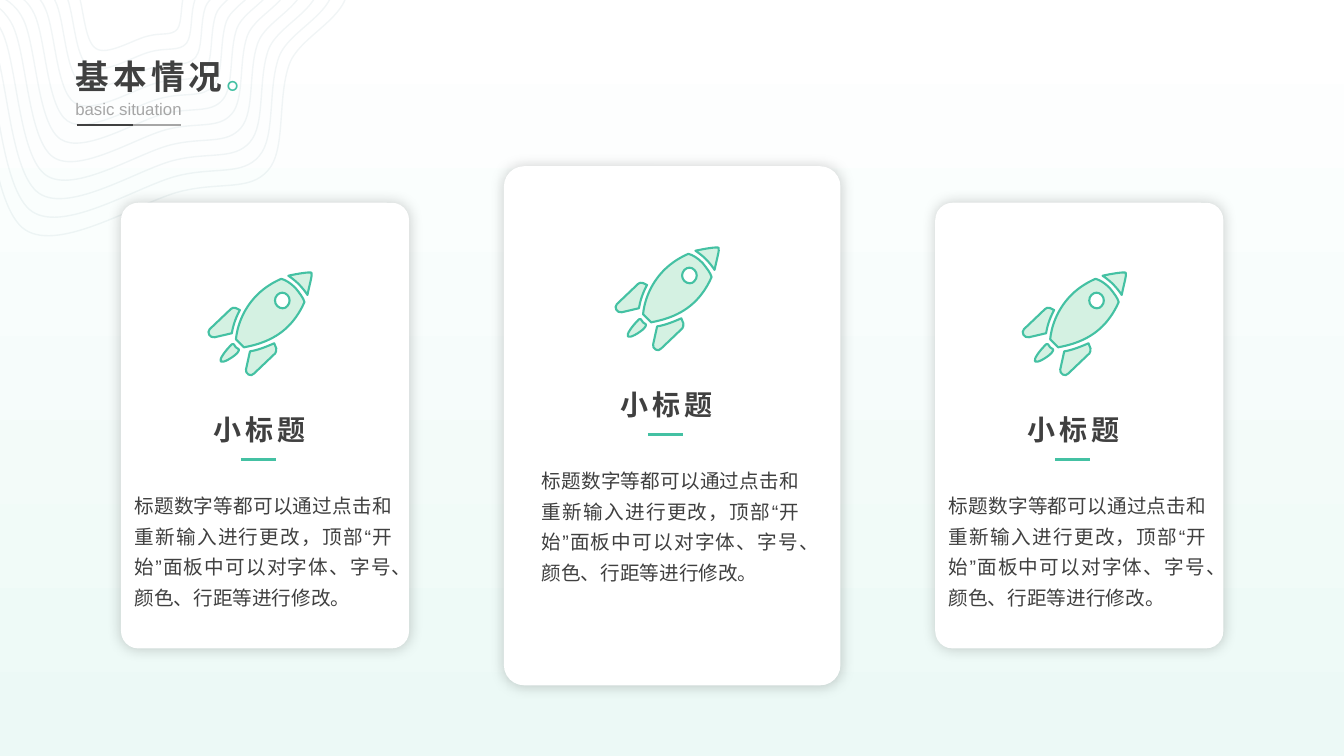
from lxml.etree import SubElement
from pptx import Presentation
from pptx.dml.color import RGBColor
from pptx.enum.lang import MSO_LANGUAGE_ID
from pptx.enum.shapes import MSO_CONNECTOR, MSO_SHAPE
from pptx.enum.text import MSO_ANCHOR, MSO_AUTO_SIZE, PP_ALIGN
from pptx.oxml.ns import qn
from pptx.util import Cm, Pt

WHITE = RGBColor(0xFF, 0xFF, 0xFF)
MIST = RGBColor(0xEC, 0xF9, 0xF6)
MINT = RGBColor(0xD4, 0xF1, 0xE2)
GREEN = RGBColor(0x44, 0xC1, 0xA3)
TEAL = RGBColor(0x1E, 0x5E, 0x70)
DARK = RGBColor(0x40, 0x40, 0x40)
GREY = RGBColor(0xA6, 0xA6, 0xA6)

LATIN_FONT = "Arial"
TITLE_FONT = "Noto Sans CJK SC"
CARD_TITLE = "小标题"
CARD_BODY = ("标题数字等都可以通过点击和重新输入进行更改，顶部“开始”面板中"
             "可以对字体、字号、颜色、行距等进行修改。")

# Left, top, width and height of each card in centimetres
CARDS = [(3.05, 5.11, 7.26, 11.23), (12.7, 4.19, 8.48, 13.08), (23.57, 5.11, 7.26, 11.23)]

# Outlines: a start point, then lines (x, y) or cubic curves (three points), in UNITs
UNIT = Cm(0.0254)
CONTOUR_COUNT = 11
OUTER_CONTOUR = [
    (179, 190), (139, 200, 60, 251, 25, 228), (-9, 205, -11, 91, -29, 51),
    (-48, 11, -82, 20, -85, -14), (-89, -48, -84, -120, -50, -153),
    (-17, -187, 51, -236, 115, -216), (180, -196, 310, -82, 338, -35),
    (367, 12, 299, 30, 287, 64), (275, 98, 284, 149, 266, 169),
    (248, 190, 219, 180, 179, 190)]
INNER_CONTOUR = [
    (146, 36), (133, 39, 106, 56, 95, 48), (83, 40, 83, 2, 76, -11),
    (70, -25, 59, -22, 57, -33), (56, -44, 58, -68, 69, -80),
    (81, -91, 103, -107, 125, -101), (147, -94, 190, -56, 200, -40),
    (209, -24, 187, -18, 183, -7), (179, 5, 181, 22, 176, 29),
    (170, 36, 160, 32, 146, 36)]

NOSE = [(102, 0), (100, -1, 88, 1, 79, 3), (82, 5, 86, 8, 89, 11),
        (93, 15, 96, 19, 98, 22), (100, 12, 103, 2, 102, 0)]
LEFT_FIN = [(31, 37), (27, 35), (25, 34, 23, 35, 22, 36), (1, 56),
            (-2, 59, 1, 65, 6, 64), (23, 60), (24, 54, 26, 46, 31, 37)]
RIGHT_FIN = [(65, 70), (56, 74, 48, 77, 41, 78), (37, 96), (36, 100, 42, 104, 45, 100),
             (66, 80), (67, 79, 67, 77, 67, 75), (65, 70)]
HULL = [(72, 6), (65, 9, 56, 14, 48, 22), (33, 37, 28, 55, 27, 66), (35, 74),
        (45, 72, 64, 68, 79, 53), (87, 45, 92, 36, 95, 29),
        (94, 25, 90, 20, 86, 15), (81, 10, 76, 7, 72, 6)]
WINDOW = [(78, 33), (76, 36, 71, 36, 68, 33), (65, 30, 65, 25, 68, 22),
          (71, 19, 75, 19, 78, 22), (81, 25, 81, 30, 78, 33)]
FLAME = [(27, 74), (25, 72, 25, 68, 21, 73), (17, 77, 10, 86, 12, 88),
         (14, 90, 24, 84, 28, 80), (32, 75, 29, 76, 27, 74)]
ROCKET = [[NOSE], [LEFT_FIN], [RIGHT_FIN], [HULL, WINDOW], [FLAME]]


def slide_points(outline, left, top):
    return [(left + x * UNIT, top + y * UNIT)
            for segment in outline for x, y in zip(segment[::2], segment[1::2])]


def bend_lines(shape, outlines):
    """Merge the three straight lines that stand for each curve into one curve."""
    lines = iter(list(shape._element.spPr.iter(qn("a:lnTo"))))
    for outline in outlines:
        for segment in outline[1:]:
            parts = [next(lines) for _ in range(len(segment) // 2)]
            if len(parts) == 3:
                first = parts[0]
                curve = SubElement(first.getparent(), qn("a:cubicBezTo"))
                first.addprevious(curve)
                for part in parts:
                    curve.append(part[0])
                    part.getparent().remove(part)


def add_outline(page, outlines, left, top, color, width):
    first, *others = [slide_points(outline, left, top) for outline in outlines]
    builder = page.shapes.build_freeform(*first[0])
    builder.add_line_segments(first[1:])
    for points in others:
        builder.move_to(*points[0])
        builder.add_line_segments(points[1:])
    shape = builder.convert_to_shape()
    bend_lines(shape, outlines)
    shape.shadow.inherit = False
    shape.line.color.rgb = color
    shape.line.width = Pt(width)
    return shape


def add_rule(page, left, top, length, color, width):
    rule = page.shapes.add_connector(MSO_CONNECTOR.STRAIGHT, left, top, left + length, top)
    rule.line.color.rgb = color
    rule.line.width = Pt(width)
    SubElement(rule._element.spPr, qn("a:effectLst"))


def style_font(font, name, size, color, bold=False, spacing=0):
    """Set a font for Latin and East Asian text; spacing is in points."""
    font.name = name
    font.size = Pt(size)
    font.bold = bold
    font.color.rgb = color
    font.language_id = MSO_LANGUAGE_ID.SIMPLIFIED_CHINESE
    font._element.set("spc", str(spacing * 100))
    SubElement(font._element, qn("a:ea"), typeface=name)


def add_text(page, text, left, top, width, height, align, wrap=True):
    box = page.shapes.add_textbox(left, top, width, height)
    box.text_frame.word_wrap = wrap
    box.text_frame.auto_size = MSO_AUTO_SIZE.SHAPE_TO_FIT_TEXT
    para = box.text_frame.paragraphs[0]
    para.text = text
    para.alignment = align
    return para


def paint_background(page):
    fill = page.background.fill
    fill.gradient()
    fill.gradient_angle = 270
    for stop, color in zip(fill.gradient_stops, (WHITE, MIST)):
        stop.color.rgb = color


def add_contours(page):
    """Draw evenly spaced lines from the outer contour to the inner one."""
    for index in range(CONTOUR_COUNT):
        share = index / (CONTOUR_COUNT - 1)
        outline = [tuple(a + (b - a) * share for a, b in zip(outer, inner))
                   for outer, inner in zip(OUTER_CONTOUR, INNER_CONTOUR)]
        contour = add_outline(page, [outline], 0, 0, TEAL, 1)
        contour.fill.background()
        color = contour._element.spPr.find(".//" + qn("a:srgbClr"))
        SubElement(color, qn("a:alpha"), val="5000")


def add_heading(page, left, top):
    title = page.shapes.title
    title.left, title.top, title.width, title.height = left, top, Cm(4.37), Cm(1.17)
    frame = title.text_frame
    frame.word_wrap = False
    frame.auto_size = MSO_AUTO_SIZE.SHAPE_TO_FIT_TEXT
    frame.vertical_anchor = MSO_ANCHOR.MIDDLE
    para = frame.paragraphs[0]
    para.alignment = PP_ALIGN.LEFT
    para.line_spacing = 0.9
    for text, color, bold in (("基本情况", DARK, True), ("。", GREEN, False)):
        span = para.add_run()
        span.text = text
        style_font(span.font, TITLE_FONT, 24, color, bold, 3)

    subtitle = add_text(page, "basic situation", left, top + Cm(0.97), Cm(3.2), Cm(0.76),
                        PP_ALIGN.LEFT, wrap=False)
    style_font(subtitle.font, LATIN_FONT, 12, GREY)
    for length, color in ((2.64, GREY), (1.42, DARK)):
        add_rule(page, left + Cm(0.28), top + Cm(1.75), Cm(length), color, 1)


def add_rocket(page, left, top):
    for outlines in ROCKET:
        part = add_outline(page, outlines, left, top, GREEN, 1.5)
        part.fill.solid()
        part.fill.fore_color.rgb = MINT


def add_card(page, left, top, width, height):
    card = page.shapes.add_shape(MSO_SHAPE.ROUNDED_RECTANGLE, left, top, width, height)
    card.adjustments[0] = 0.06
    card.fill.solid()
    card.fill.fore_color.rgb = WHITE
    card.line.fill.background()
    card.shadow.inherit = False
    effects = card._element.spPr.find(qn("a:effectLst"))
    shadow = SubElement(effects, qn("a:outerShdw"), blurRad=str(Pt(10)), dist="0", dir="0")
    color = SubElement(shadow, qn("a:srgbClr"), val="000000")
    SubElement(color, qn("a:alpha"), val="20000")

    middle = left + width // 2
    content_top = top + int(height * 0.157)
    add_rocket(page, middle - Cm(1.42), content_top)
    title = add_text(page, CARD_TITLE, middle - Cm(1.68), content_top + Cm(3.4),
                     Cm(3.07), Cm(1.12), PP_ALIGN.CENTER)
    style_font(title.font, LATIN_FONT, 20, DARK, True, 3)
    add_rule(page, middle - Cm(0.61), content_top + Cm(4.7), Cm(0.88), GREEN, 2)
    body = add_text(page, CARD_BODY, middle - Cm(3.54), content_top + Cm(5.28),
                    Cm(6.99), Cm(3.3), PP_ALIGN.JUSTIFY)
    body.line_spacing = 1.3
    style_font(body.font, LATIN_FONT, 14, DARK)


def main():
    deck = Presentation()
    deck.slide_width, deck.slide_height = Cm(33.87), Cm(19.05)
    page = deck.slides.add_slide(deck.slide_layouts[5])
    paint_background(page)
    add_contours(page)
    add_heading(page, Cm(1.65), Cm(1.4))
    for card in CARDS:
        add_card(page, *map(Cm, card))
    deck.save("out.pptx")


if __name__ == "__main__":
    main()
